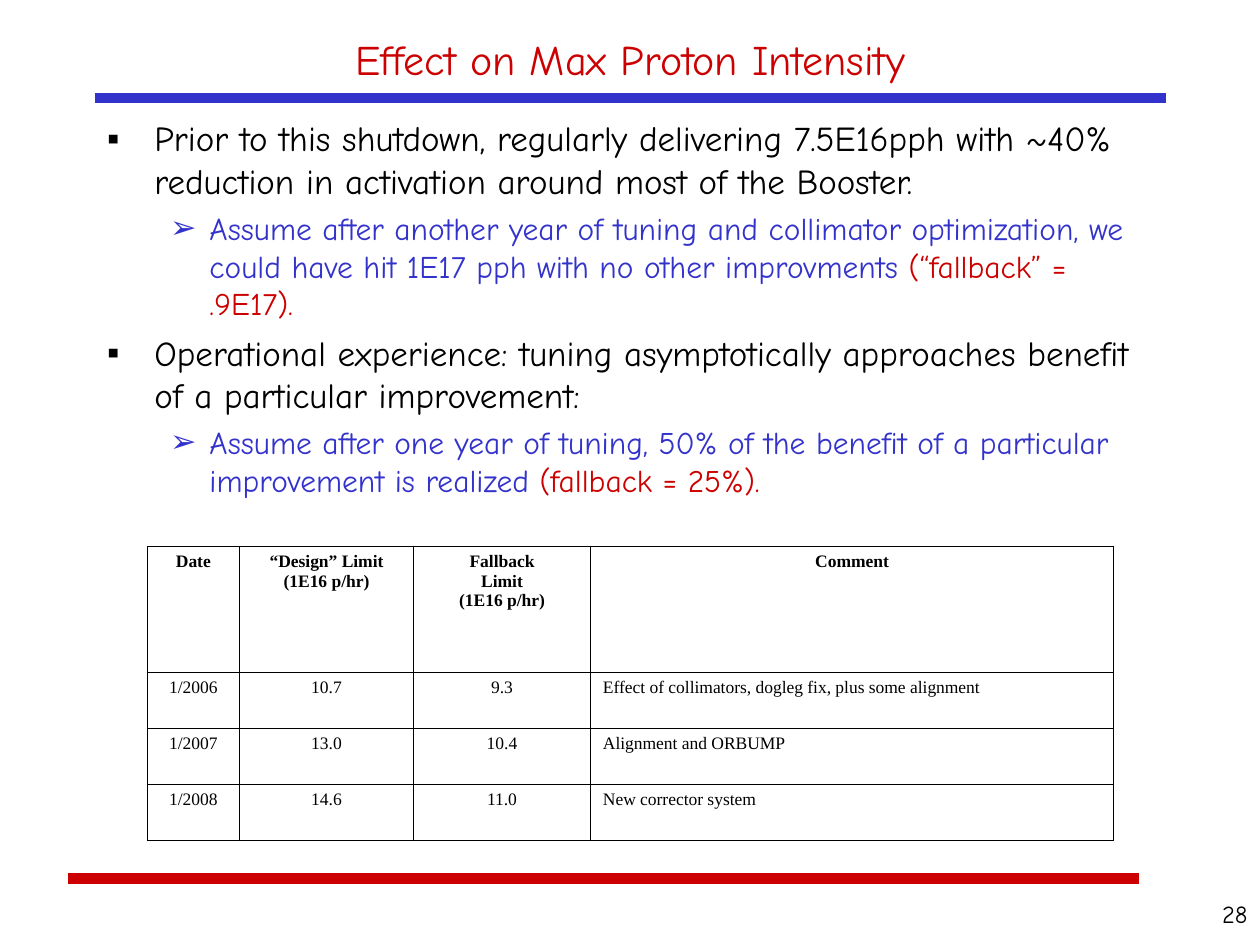
from dataclasses import dataclass

import lxml.etree
import pptx
import pptx.dml.color
import pptx.enum.shapes
import pptx.enum.text
import pptx.oxml.ns
import pptx.util

Pt = pptx.util.Pt
ALIGN = pptx.enum.text.PP_ALIGN
ANCHOR = pptx.enum.text.MSO_ANCHOR
COLORS = {"black": "000000", "red": "CC0000", "blue": "3333CC"}
HEADING_FONT = "Comic Neue"
TABLE_FONT = "Times New Roman"


@dataclass
class Level:
    size: float
    color: str
    bullet: str
    margin: float
    hanging: float
    space_before: float


@dataclass
class Point:
    level: int
    text: str
    fallback: str = ""


@dataclass
class Rule:
    left: float
    y: float
    color: str


LEVELS = [
    Level(20, "black", "▪", 27, 27, 5),
    Level(18, "blue", "➢", 58.5, 22.5, 4.5),
]
POINTS = [
    Point(0, "Prior to this shutdown, regularly delivering 7.5E16pph with ~40% "
             "reduction in activation around most of the Booster."),
    Point(1, "Assume after another year of tuning and collimator optimization, we "
             "could have hit 1E17 pph with no other improvments ",
          "(“fallback” = .9E17)."),
    Point(0, "Operational experience: tuning asymptotically approaches benefit "
             "of a particular improvement:"),
    Point(1, "Assume after one year of tuning, 50% of the benefit of a particular "
             "improvement is realized ", "(fallback = 25%)."),
]
RULES = [Rule(39, 502, "red"), Rule(54, 56, "blue")]
LIMITS = [
    ("Date", "“Design” Limit\v(1E16 p/hr)", "Fallback\vLimit\v(1E16 p/hr)", "Comment"),
    ("1/2006", "10.7", "9.3", "Effect of collimators, dogleg fix, plus some alignment"),
    ("1/2007", "13.0", "10.4", "Alignment and ORBUMP"),
    ("1/2008", "14.6", "11.0", "New corrector system"),
]
COLUMN_WIDTHS = [52.6, 99.6, 101, 299]
ROW_HEIGHTS = [72, 32, 32, 32]


def rgb(color: str) -> pptx.dml.color.RGBColor:
    return pptx.dml.color.RGBColor.from_string(COLORS[color])


def add_element(parent, tag: str, **attributes: str):
    return lxml.etree.SubElement(parent, pptx.oxml.ns.qn(tag), attributes)


def format_run(run, font: str, size: float, color: str, bold: bool = False) -> None:
    run.font.name = font
    run.font.size = Pt(size)
    run.font.bold = bold
    run.font.color.rgb = rgb(color)


def place(shape, left: float, top: float, width: float, height: float) -> None:
    shape.left, shape.top = Pt(left), Pt(top)
    shape.width, shape.height = Pt(width), Pt(height)
    shape.text_frame.auto_size = pptx.enum.text.MSO_AUTO_SIZE.NONE
    shape.text_frame.word_wrap = True


def draw_rule(slide, rule: Rule) -> None:
    line = slide.shapes.add_connector(
        pptx.enum.shapes.MSO_CONNECTOR.STRAIGHT,
        Pt(rule.left), Pt(rule.y), Pt(rule.left + 612), Pt(rule.y))
    line.line.color.rgb = rgb(rule.color)
    line.line.width = Pt(6)
    add_element(line._element.spPr, "a:effectLst")


def write_point(paragraph, point: Point, is_first: bool) -> None:
    level = LEVELS[point.level]
    paragraph.level = point.level
    paragraph.space_before = Pt(0 if is_first else level.space_before)
    properties = paragraph._p.get_or_add_pPr()
    properties.set("marL", str(Pt(level.margin)))
    properties.set("indent", str(-Pt(level.hanging)))
    bullet_color = add_element(properties, "a:buClr")
    add_element(bullet_color, "a:srgbClr", val=COLORS[level.color])
    add_element(properties, "a:buChar", char=level.bullet)
    paragraph.text = point.text
    format_run(paragraph.runs[0], HEADING_FONT, level.size, level.color)
    if point.fallback:
        fallback = paragraph.add_run()
        fallback.text = point.fallback
        format_run(fallback, HEADING_FONT, level.size, "red")


def fill_cell(cell, text: str, is_header: bool, centred: bool) -> None:
    properties = cell._tc.get_or_add_tcPr()
    for side in ("a:lnL", "a:lnR", "a:lnT", "a:lnB"):
        border = add_element(properties, side, w=str(Pt(0.45)))
        add_element(add_element(border, "a:solidFill"), "a:srgbClr", val=COLORS["black"])
    cell.fill.background()
    paragraph = cell.text_frame.paragraphs[0]
    paragraph.text = text
    paragraph.alignment = ALIGN.CENTER if centred else ALIGN.LEFT
    for run in paragraph.runs:
        format_run(run, TABLE_FONT, 10, "black", is_header)


def draw_limits(slide) -> None:
    table = slide.shapes.add_table(
        len(LIMITS), len(COLUMN_WIDTHS), Pt(84.2), Pt(312),
        Pt(sum(COLUMN_WIDTHS)), Pt(sum(ROW_HEIGHTS))).table
    for column, width in zip(table.columns, COLUMN_WIDTHS):
        column.width = Pt(width)
    for r, (height, texts) in enumerate(zip(ROW_HEIGHTS, LIMITS)):
        table.rows[r].height = Pt(height)
        for c, text in enumerate(texts):
            is_header = r == 0
            is_comment = c == len(texts) - 1
            fill_cell(table.cell(r, c), text, is_header, is_header or not is_comment)


def main() -> None:
    deck = pptx.Presentation()
    deck.slide_width, deck.slide_height = Pt(720), Pt(540)
    slide = deck.slides.add_slide(deck.slide_layouts[1])
    for rule in RULES:
        draw_rule(slide, rule)

    title = slide.shapes.title
    place(title, 54, 12.25, 612, 42)
    title.text_frame.text = "Effect on Max Proton Intensity"
    title.text_frame.vertical_anchor = ANCHOR.MIDDLE
    heading = title.text_frame.paragraphs[0]
    heading.alignment = ALIGN.CENTER
    format_run(heading.runs[0], HEADING_FONT, 24, "red")

    body = slide.placeholders[1]
    place(body, 54, 63.25, 612, 249)
    for i, point in enumerate(POINTS):
        frame = body.text_frame
        paragraph = frame.paragraphs[0] if i == 0 else frame.add_paragraph()
        write_point(paragraph, point, i == 0)

    draw_limits(slide)

    page_number = slide.shapes.add_textbox(0, 0, 0, 0)
    place(page_number, 654, 510, 66, 30)
    page_number.text_frame.text = "28"
    number = page_number.text_frame.paragraphs[0]
    number.alignment = ALIGN.RIGHT
    format_run(number.runs[0], HEADING_FONT, 14, "black")

    deck.save("out.pptx")


if __name__ == "__main__":
    main()
